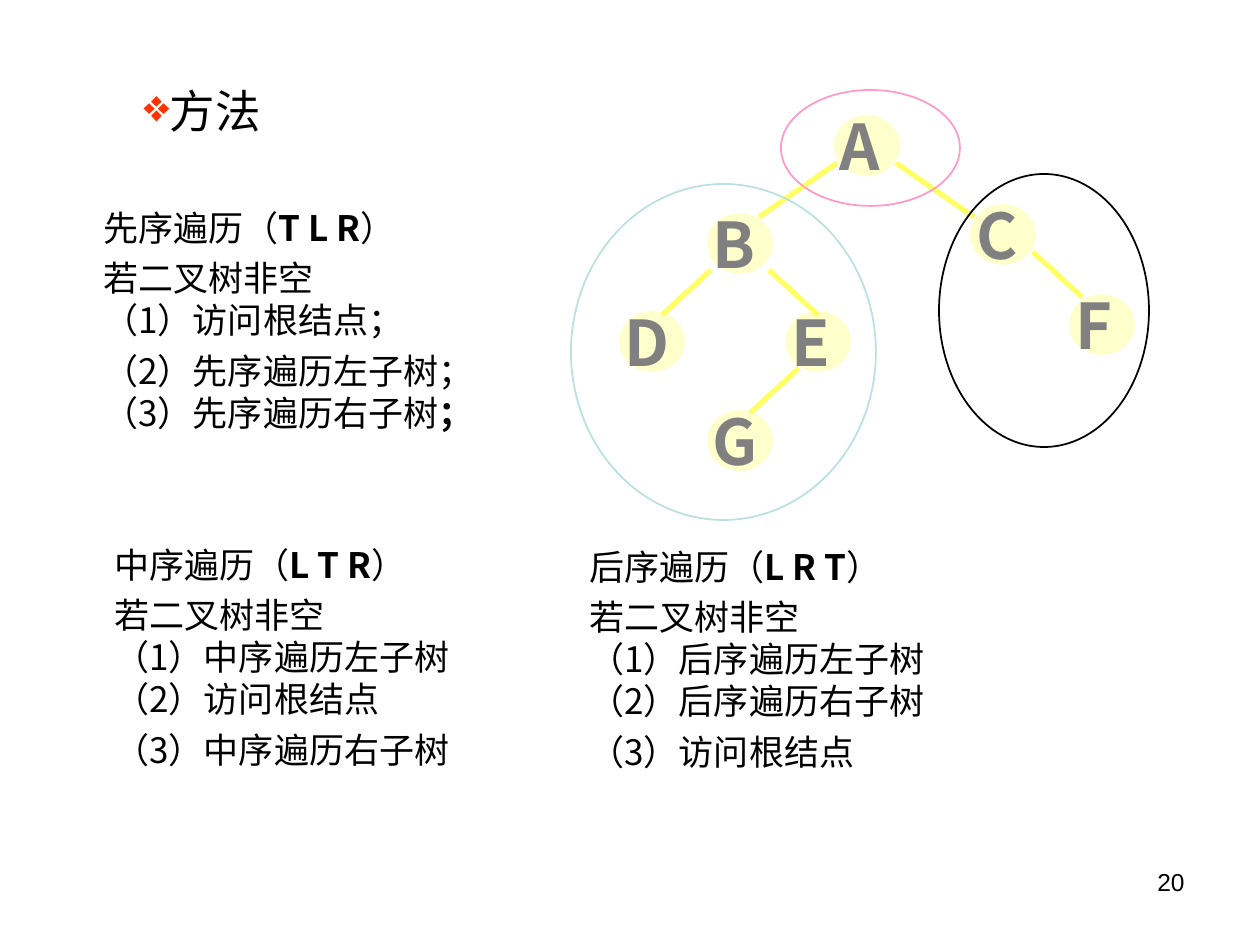
from lxml import etree
from pptx import Presentation
from pptx import util as u
from pptx.dml.color import RGBColor
from pptx.enum import shapes, text
from pptx.oxml.ns import qn

PX = 914400 // 126
BLACK = RGBColor(0, 0, 0)
GRAY = RGBColor(0x80, 0x80, 0x80)
CREAM = RGBColor(0xFF, 0xFF, 0xCC)
YELLOW = RGBColor(0xFF, 0xFF, 0x66)
PALE_BLUE = RGBColor(0xBB, 0xE0, 0xE3)
PINK = RGBColor(0xFF, 0x99, 0xCC)
CJK = "Noto Sans CJK SC"

# Each paragraph alternates plain and bold parts.
METHODS = [
    (91, 200, [("先序遍历（", "T L R", "）"),
               ("若二叉树非空\n（1）访问根结点；",),
               ("（2）先序遍历左子树；\n（3）先序遍历右子树", "；")]),
    (102, 537, [("中序遍历（", "L T R", "）"),
                ("若二叉树非空\n（1）中序遍历左子树\n（2）访问根结点",),
                ("（3）中序遍历右子树",)]),
    (577, 539, [("后序遍历（", "L R T", "）"),
                ("若二叉树非空\n（1）后序遍历左子树\n（2）后序遍历右子树",),
                ("（3）访问根结点",)]),
]
NODES = {"D": (620, 312), "A": (835, 116), "F": (1070, 295), "G": (708, 411),
         "E": (786, 312), "C": (971, 205), "B": (708, 214)}
EDGES = [(837, 163, -78, 54), (896, 163, 78, 54), (769, 270, 49, 45),
         (799, 368, -49, 45), (711, 270, -49, 45), (1033, 252, 49, 45)]
SUBTREES = [(571, 184, 305, 336, PALE_BLUE), (939, 174, 210, 273, BLACK),
            (781, 90, 179, 116, PINK)]


def px(*values):
    return [v * PX for v in values]


def style(r, size, font=CJK, color=BLACK, bold=False):
    r.font.size, r.font.name, r.font.bold = u.Pt(size), font, bold
    r.font.color.rgb = color
    etree.SubElement(r.font._element, qn("a:ea"), typeface=CJK)


def add_text(s, *box):
    tf = s.shapes.add_textbox(*px(*box)).text_frame
    tf.word_wrap = True
    return tf


def add_ellipse(s, box, line, fill=None):
    sp = s.shapes.add_shape(shapes.MSO_SHAPE.OVAL, *px(*box))
    sp.shadow.inherit = False
    if fill is None:
        sp.fill.background()
    else:
        sp.fill.solid()
        sp.fill.fore_color.rgb = fill
    sp.line.color.rgb = line
    sp.line.width = u.Pt(1)


def add_heading(s):
    title = s.shapes.title
    title.left, title.top, title.width, title.height = px(33, 83, 630, 62)
    tf = title.text_frame
    tf.text = "方法"
    tf.auto_size = text.MSO_AUTO_SIZE.NONE
    tf.vertical_anchor = text.MSO_ANCHOR.TOP
    p = tf.paragraphs[0]
    p.alignment = text.PP_ALIGN.LEFT
    p.line_spacing = 0.9
    style(p.runs[0], 26, "Arial")
    pPr = p._p.get_or_add_pPr()
    pPr.set("marL", str(98 * PX))
    pPr.set("indent", "0")
    color = etree.SubElement(pPr, qn("a:buClr"))
    etree.SubElement(color, qn("a:srgbClr"), val="FF3300")
    etree.SubElement(pPr, qn("a:buChar"), char="❖")


def add_method(s, x, y, paragraphs):
    tf = add_text(s, x, y, 450, 241)
    for i, parts in enumerate(paragraphs):
        p = tf.add_paragraph() if i else tf.paragraphs[0]
        p.space_before = u.Pt(5)
        for j, part in enumerate(parts):
            for k, line in enumerate(part.split("\n")):
                if k:
                    p.add_line_break()
                r = p.add_run()
                r.text = line
                style(r, 20, bold=j % 2 == 1)


def add_node(s, name, x, y):
    add_ellipse(s, (x, y, 64, 59), CREAM, CREAM)
    tf = add_text(s, x - 18, y - 15, 117, 88)
    tf.margin_left = 23 * PX
    tf.text = name
    style(tf.paragraphs[0].runs[0], 36, color=GRAY, bold=True)


def add_edge(s, x, y, dx, dy):
    line = s.shapes.add_connector(shapes.MSO_CONNECTOR.STRAIGHT,
                                  *px(x, y, x + dx, y + dy))
    line.line.color.rgb = YELLOW
    line.line.width = u.Pt(3)
    etree.SubElement(line._element.spPr, qn("a:effectLst"))


def main():
    prs = Presentation()
    prs.slide_width, prs.slide_height = px(1260, 945)
    s = prs.slides.add_slide(prs.slide_layouts[5])
    add_heading(s)
    for method in METHODS:
        add_method(s, *method)
    for name, (x, y) in NODES.items():
        add_node(s, name, x, y)
    for edge in EDGES:
        add_edge(s, *edge)
    for *box, color in SUBTREES:
        add_ellipse(s, box, color)
    tf = add_text(s, 903, 861, 294, 66)
    tf.text = "20"
    tf.paragraphs[0].alignment = text.PP_ALIGN.RIGHT
    style(tf.paragraphs[0].runs[0], 14, "Arial")
    prs.save("out.pptx")


if __name__ == "__main__":
    main()
